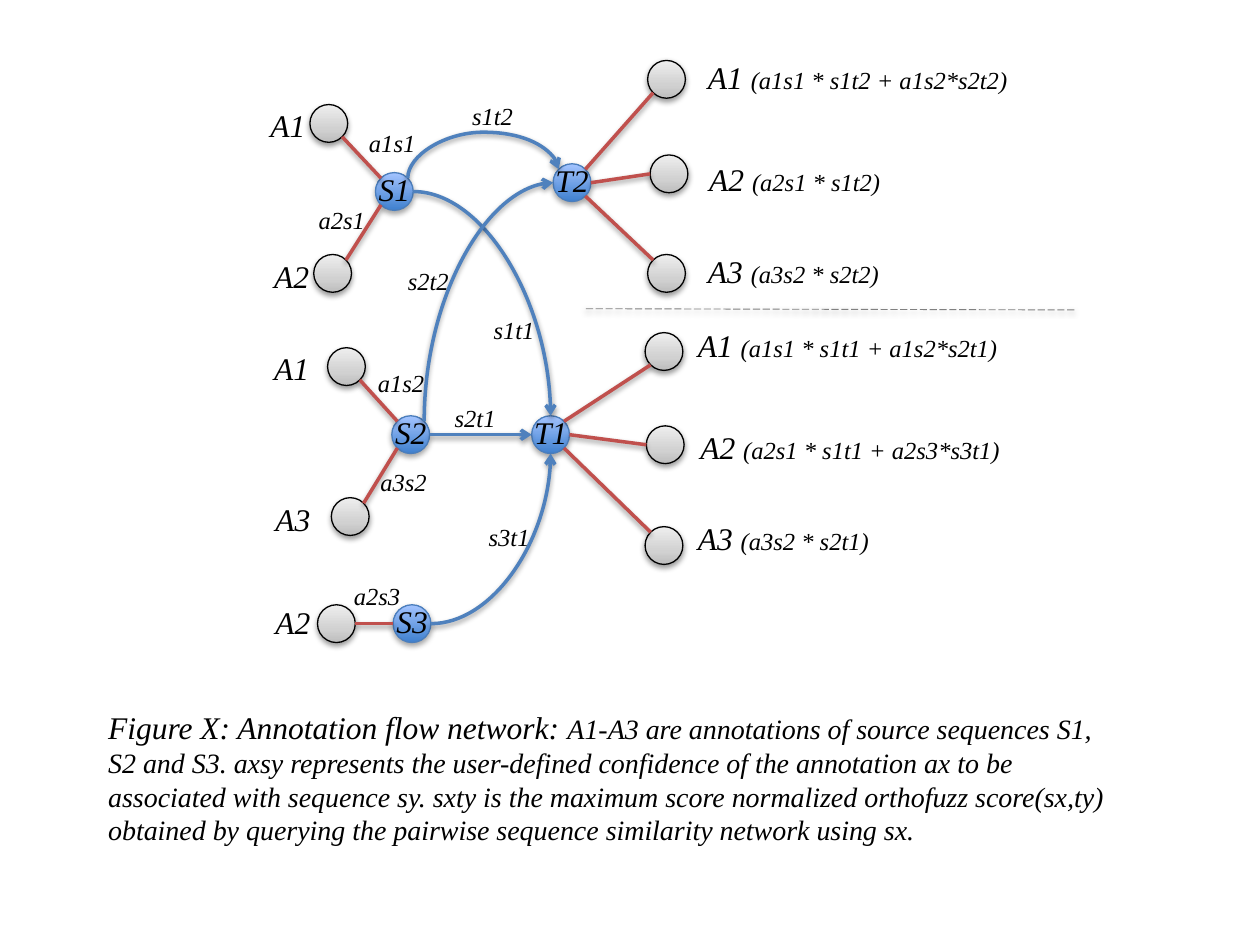
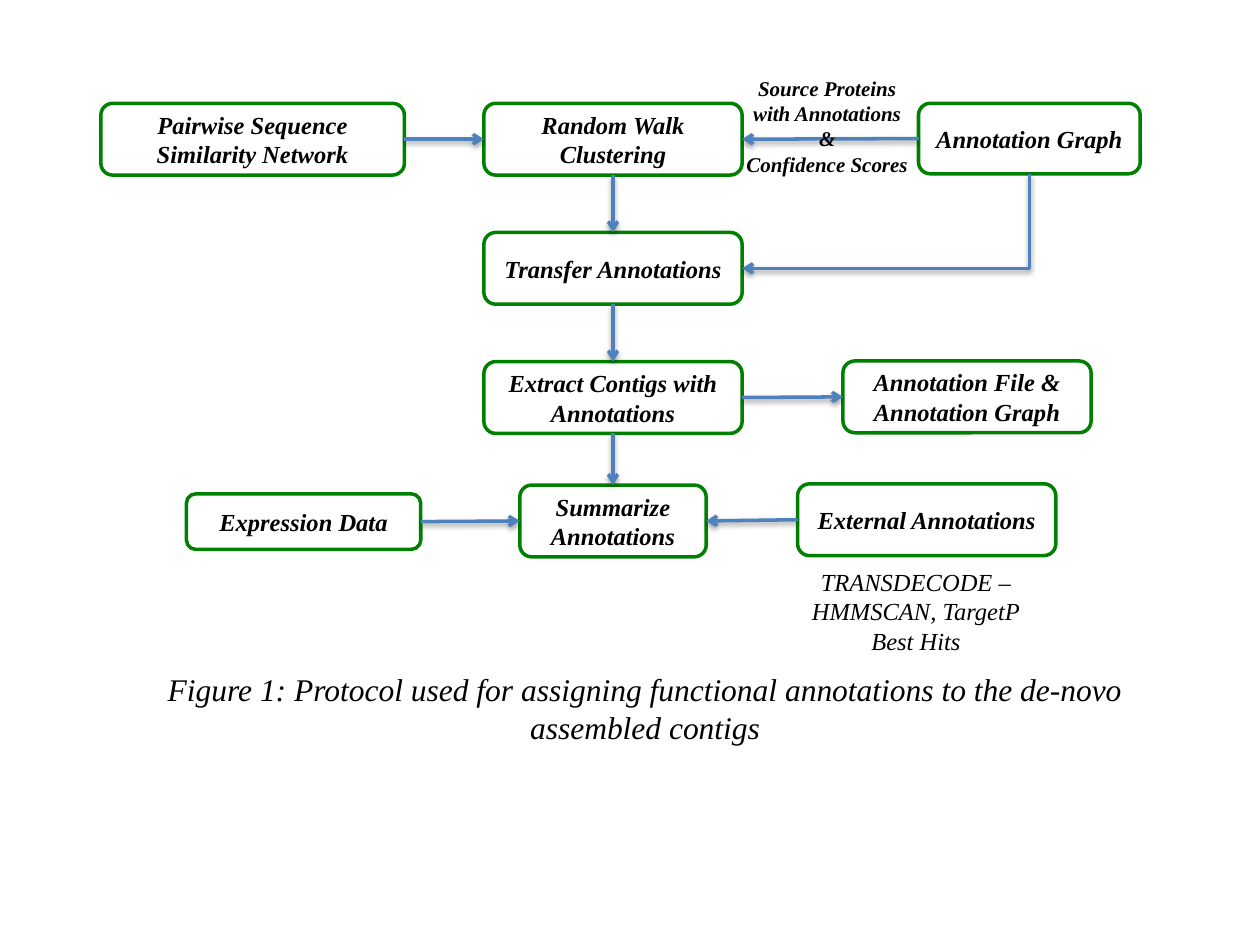
from dataclasses import dataclass
from typing import NamedTuple

from lxml.etree import SubElement
from pptx import Presentation
from pptx.dml.color import RGBColor
from pptx.enum.dml import MSO_LINE
from pptx.enum.shapes import MSO_CONNECTOR, MSO_SHAPE
from pptx.enum.text import MSO_ANCHOR, PP_ALIGN
from pptx.oxml import parse_xml
from pptx.oxml.ns import nsdecls, qn
from pptx.util import Emu, Inches, Pt

# Shared look
FONT = "Times New Roman"
BLACK, WHITE, GREEN = "000000", "FFFFFF", "008000"
RED, BLUE, BLUE_EDGE, GREY = "C0504D", "4F81BD", "4B7EBC", "808080"
BLUE_BLEND = ((0, "3F80CE"), (100, "A4C4FF"))
GREY_BLEND = ((0, "BDBDBD"), (35, "D1D1D1"), (100, "EEEEEE"))
LEFT, CENTER, RIGHT = PP_ALIGN.LEFT, PP_ALIGN.CENTER, PP_ALIGN.RIGHT

# Grid: 100 columns by 75 rows of square cells
deck = Presentation()
deck.slide_width, deck.slide_height = Inches(10), Inches(7.5)
CELL = deck.slide_width / 100
DIAMETER = 3
DIAGONAL = 0.707
SITES = {
    "n": (0, -1), "s": (0, 1), "e": (1, 0), "w": (-1, 0),
    "ne": (DIAGONAL, -DIAGONAL), "nw": (-DIAGONAL, -DIAGONAL),
    "se": (DIAGONAL, DIAGONAL), "sw": (-DIAGONAL, DIAGONAL),
}


class Point(NamedTuple):
    x: float
    y: float


class Run(NamedTuple):
    text: str
    size: float
    bold: bool = False


@dataclass(frozen=True)
class Part:
    """A circle or box on the grid, with sites where lines attach."""
    left: float
    top: float
    width: float = DIAMETER
    height: float = DIAMETER
    text: str = ""

    def site(self, side: str) -> Point:
        dx, dy = SITES[side]
        return Point(self.left + self.width / 2 * (1 + dx),
                     self.top + self.height / 2 * (1 + dy))


@dataclass(frozen=True)
class Annotation:
    """An annotation circle, its label and the sites its edge joins."""
    circle: Part
    owner: str
    sites: tuple[str, str]
    label: Point
    name: str
    formula: str = ""


@dataclass(frozen=True)
class Score:
    text: str
    left: float
    top: float
    align: PP_ALIGN = LEFT


def cells(*lengths: float) -> list[Emu]:
    return [Emu(round(length * CELL)) for length in lengths]


def color(hex_value: str) -> RGBColor:
    return RGBColor.from_string(hex_value)


def write(frame, paragraphs: list[list[Run]], align: PP_ALIGN) -> None:
    frame.word_wrap = True
    for i, runs in enumerate(paragraphs):
        paragraph = frame.paragraphs[0] if i == 0 else frame.add_paragraph()
        paragraph.alignment = align
        for text, size, bold in runs:
            run = paragraph.add_run()
            run.text = text
            run.font.name, run.font.size = FONT, Pt(size)
            run.font.bold, run.font.italic = bold, True
            run.font.color.rgb = color(BLACK)


def add_label(slide, left: float, top: float, width: float, height: float,
              paragraphs: list[list[Run]], align: PP_ALIGN = LEFT) -> None:
    box = slide.shapes.add_textbox(*cells(left, top, width, height))
    write(box.text_frame, paragraphs, align)


def add_shadow(properties, distance: int, opacity: int) -> None:
    for old in properties.findall(qn("a:effectLst")):
        properties.remove(old)
    properties.append(parse_xml(
        f'<a:effectLst {nsdecls("a")}><a:outerShdw blurRad="40000" '
        f'dist="{distance}" dir="5400000" rotWithShape="0">'
        f'<a:srgbClr val="{BLACK}"><a:alpha val="{opacity * 1000}"/>'
        '</a:srgbClr></a:outerShdw></a:effectLst>'))


def add_circle(slide, part: Part, blend, edge: str,
               distance: int, opacity: int) -> None:
    circle = slide.shapes.add_shape(
        MSO_SHAPE.OVAL, *cells(part.left, part.top, part.width, part.height))
    circle.fill.solid()
    circle.line.color.rgb, circle.line.width = color(edge), Pt(0.75)
    stops = "".join(f'<a:gs pos="{share * 1000}"><a:srgbClr val="{tone}"/></a:gs>'
                    for share, tone in blend)
    properties = circle.element.spPr
    properties.replace(properties.find(qn("a:solidFill")), parse_xml(
        f'<a:gradFill {nsdecls("a")} rotWithShape="1"><a:gsLst>{stops}</a:gsLst>'
        '<a:lin ang="16200000" scaled="0"/></a:gradFill>'))
    add_shadow(properties, distance, opacity)


def add_step(slide, part: Part) -> None:
    step = slide.shapes.add_shape(
        MSO_SHAPE.ROUNDED_RECTANGLE,
        *cells(part.left, part.top, part.width, part.height))
    step.shadow.inherit = False
    step.fill.solid()
    step.fill.fore_color.rgb = color(WHITE)
    step.line.color.rgb, step.line.width = color(GREEN), Pt(2)
    step.text_frame.vertical_anchor = MSO_ANCHOR.MIDDLE
    write(step.text_frame,
          [[Run(line, 14, True)] for line in part.text.split("\n")], CENTER)


def add_line(slide, start: Point, end: Point, tone: str = BLUE, width: float = 2,
             arrow: bool = True, preset: str = "line", upright: bool = False,
             bend: float | None = None, dash: MSO_LINE | None = None) -> None:
    """Draw a line; an upright one leaves its start vertically."""
    if upright:  # turn the ends back a quarter, then rotate the frame
        mid_x, mid_y = (start.x + end.x) / 2, (start.y + end.y) / 2
        half_x, half_y = (end.x - start.x) / 2, (end.y - start.y) / 2
        start = Point(mid_x - half_y, mid_y + half_x)
        end = Point(mid_x + half_y, mid_y - half_x)
    line = slide.shapes.add_connector(MSO_CONNECTOR.STRAIGHT, *cells(*start, *end))
    line.line.color.rgb, line.line.width = color(tone), Pt(width)
    if dash is not None:
        line.line.dash_style = dash
    properties = line.element.spPr
    geometry = properties.find(qn("a:prstGeom"))
    geometry.set("prst", preset)
    if upright:
        properties.find(qn("a:xfrm")).set("rot", "5400000")
    if bend is not None:
        SubElement(geometry.find(qn("a:avLst")), qn("a:gd"),
                   name="adj1", fmla=f"val {round(bend * 100000)}")
    if arrow:
        SubElement(properties.find(qn("a:ln")), qn("a:tailEnd"), type="arrow")
    add_shadow(properties, 20000, 38)


# Slide 1: annotation flow network
sequences = {
    "S1": Part(29.8, 13.7), "S2": Part(31.1, 33), "S3": Part(31.2, 48),
    "T1": Part(42.2, 33), "T2": Part(43.9, 13),
}
annotations = [
    Annotation(Part(24.6, 8.3), "S1", ("se", "nw"), Point(19.9, 7.9), "A1"),
    Annotation(Part(24.9, 20.2), "S1", ("ne", "sw"), Point(20.2, 19.9), "A2"),
    Annotation(Part(26, 27.6), "S2", ("se", "nw"), Point(20.2, 27.2), "A1"),
    Annotation(Part(26.3, 39.5), "S2", ("ne", "sw"), Point(20.3, 39.2), "A3"),
    Annotation(Part(25.2, 48), "S3", ("e", "w"), Point(20.3, 47.4), "A2"),
    Annotation(Part(51.4, 4.8), "T2", ("sw", "ne"), Point(55.2, 4.1),
               "A1", "(a1s1 * s1t2 + a1s2*s2t2)"),
    Annotation(Part(51.6, 12.3), "T2", ("w", "e"), Point(55.3, 12.2),
               "A2", "(a2s1 * s1t2)"),
    Annotation(Part(51.4, 20.2), "T2", ("nw", "se"), Point(55.2, 19.5),
               "A3", "(a3s2 * s2t2)"),
    Annotation(Part(51.2, 26.4), "T1", ("sw", "ne"), Point(54.4, 25.4),
               "A1", "(a1s1 * s1t1 + a1s2*s2t1)"),
    Annotation(Part(51.3, 33.8), "T1", ("w", "e"), Point(54.6, 33.5),
               "A2", "(a2s1 * s1t1 + a2s3*s3t1)"),
    Annotation(Part(51.2, 41.8), "T1", ("nw", "se"), Point(54.4, 40.7),
               "A3", "(a3s2 * s2t1)"),
]
scores = [
    Score("a1s1", 28.3, 9.7), Score("a2s1", 24.3, 15.8), Score("a1s2", 29, 28.7),
    Score("a3s2", 29.2, 36.6), Score("a2s3", 27.1, 45.6), Score("s3t1", 37.8, 40.9),
    Score("s2t1", 35.1, 31.5), Score("s2t2", 30.7, 20.6, RIGHT),
    Score("s1t1", 37.5, 24.5, RIGHT), Score("s1t2", 35.8, 7.5, RIGHT),
]
flows = [
    ("S1", "e", "T1", "n", {"preset": "curvedConnector2"}),
    ("S2", "e", "T1", "w", {}),
    ("S3", "e", "T1", "s", {"preset": "curvedConnector2"}),
    ("S2", "ne", "T2", "w", {"preset": "curvedConnector2", "upright": True}),
    ("S1", "ne", "T2", "nw",
     {"preset": "curvedConnector3", "upright": True, "bend": 5.2}),
]

blank = deck.slide_layouts[6]
network = deck.slides.add_slide(blank)

# Circles, edges and flows
for sequence in sequences.values():
    add_circle(network, sequence, BLUE_BLEND, BLUE_EDGE, 23000, 35)
for item in annotations:
    add_circle(network, item.circle, GREY_BLEND, BLACK, 20000, 38)
    near, far = item.sites
    add_line(network, item.circle.site(near), sequences[item.owner].site(far),
             RED, arrow=False)
for source, leave, target, arrive, route in flows:
    add_line(network, sequences[source].site(leave),
             sequences[target].site(arrive), **route)
add_line(network, Point(46.5, 24.5), Point(85.4, 24.6), GREY, 0.5,
         arrow=False, dash=MSO_LINE.LONG_DASH)

# Labels and caption
for name, sequence in sequences.items():
    add_label(network, sequence.left - 1.45, sequence.top - 0.7, 5.9, 4,
              [[Run(name, 18)]], CENTER)
for item in annotations:
    if item.formula:
        add_label(network, *item.label, 32.1, 4,
                  [[Run(item.name + " ", 18), Run(item.formula, 14)]])
    else:
        add_label(network, *item.label, 5.9, 4, [[Run(item.name, 18)]], CENTER)
for score in scores:
    add_label(network, score.left, score.top, 5.9, 3.4,
              [[Run(score.text, 14)]], score.align)
add_label(network, 7.6, 55.7, 81.8, 12.1, [[
    Run("Figure X: Annotation flow network: ", 18),
    Run("A1-A3 are annotations of source sequences S1, S2 and S3. axsy represents "
        "the user-defined confidence of the annotation ax to be associated with "
        "sequence sy. sxty is the maximum score normalized orthofuzz score(sx,ty) "
        "obtained by querying the pairwise sequence similarity network using sx.",
        16)]])

# Slide 2: annotation protocol
STEP_W, STEP_H, STEP_X = 20.5, 5.7, 38.4
steps = {
    "pairs": Part(8, 8.2, 24.1, STEP_H, "Pairwise Sequence Similarity Network"),
    "walk": Part(STEP_X, 8.2, STEP_W, STEP_H, "Random Walk\nClustering"),
    "graph": Part(72.9, 8.2, 17.6, 5.6, "Annotation Graph"),
    "transfer": Part(STEP_X, 18.45, STEP_W, STEP_H, "Transfer Annotations"),
    "extract": Part(STEP_X, 28.7, STEP_W, STEP_H,
                    "Extract Contigs with Annotations"),
    "files": Part(66.9, 28.65, 19.7, STEP_H, "Annotation File & Annotation Graph"),
    "expression": Part(14.8, 39.2, 18.6, 4.4, "Expression Data"),
    "summary": Part(41.25, 38.5, 14.8, STEP_H, "Summarize Annotations"),
    "external": Part(63.3, 38.4, STEP_W, STEP_H, "External Annotations"),
}
arrows = [
    ("pairs", "e", "walk", "w"), ("graph", "w", "walk", "e"),
    ("walk", "s", "transfer", "n"), ("transfer", "s", "extract", "n"),
    ("extract", "e", "files", "w"), ("extract", "s", "summary", "n"),
    ("expression", "e", "summary", "w"), ("external", "w", "summary", "e"),
]

protocol = deck.slides.add_slide(blank)
for step in steps.values():
    add_step(protocol, step)
for source, leave, target, arrive in arrows:
    add_line(protocol, steps[source].site(leave), steps[target].site(arrive))
add_line(protocol, steps["graph"].site("s"), steps["transfer"].site("e"),
         preset="bentConnector2", upright=True)

# Notes beside the steps, and caption
add_label(protocol, 63.3, 44.5, 18.8, 8.1,
          [[Run(line, 14)] for line in
           ("TRANSDECODE –", "HMMSCAN, TargetP", "Best Hits")], CENTER)
add_label(protocol, 56.3, 5.5, 18.7, 9.1,
          [[Run(line, 12, True)] for line in
           ("Source Proteins", "with Annotations", "&", "Confidence Scores")], CENTER)
add_label(protocol, 10.3, 52.7, 81.8, 7.1,
          [[Run("Figure 1: Protocol used for assigning functional annotations "
                "to the de-novo assembled contigs", 18)]], CENTER)

deck.save("out.pptx")
